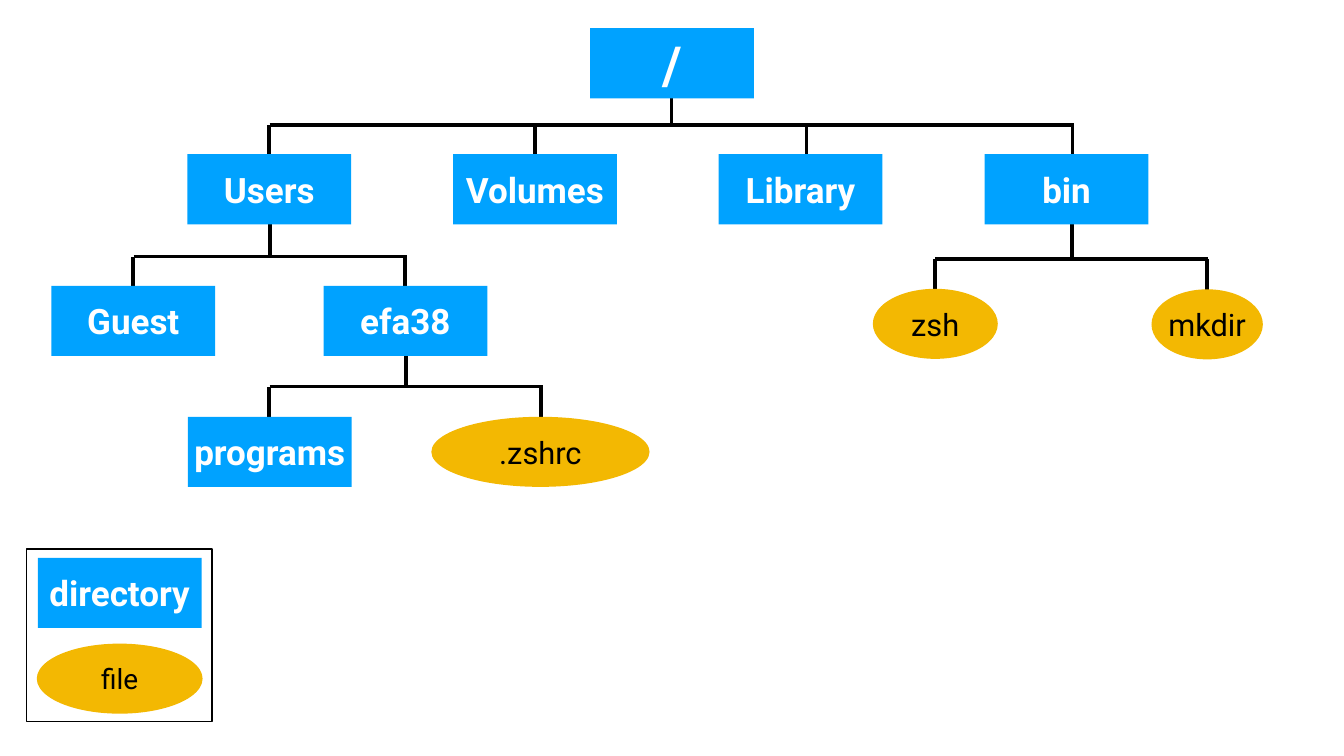
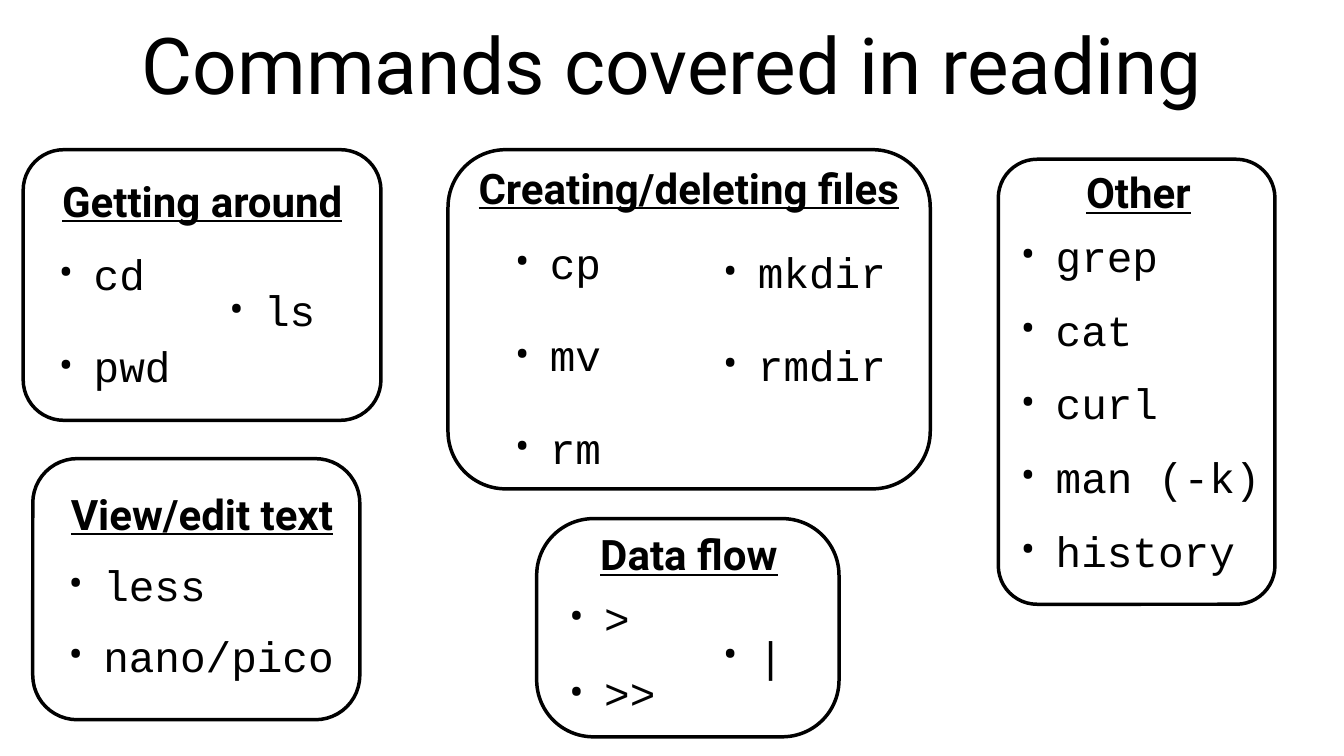
from lxml.etree import SubElement
from pptx import Presentation
from pptx.dml.color import RGBColor
from pptx.enum.shapes import MSO_CONNECTOR, MSO_SHAPE
from pptx.enum.text import MSO_ANCHOR, MSO_AUTO_SIZE, PP_ALIGN
from pptx.oxml.ns import qn
from pptx.util import Pt

PX = 9144
PAGE_SIZE = (2667, 1500)
COLORS = {"ink": "000000", "directory": "00A2FF", "file": "F3B802", "paper": "FFFFFF"}
SANS, MONO = "Roboto", "Courier New"
THICK, THIN = 5, 2

NODE_HEIGHT, DIRECTORY_WIDTH = 139, 325
BRANCH_LENGTH, TRUNK_GAP = 93, 4
BRANCHES = [
    (2127, 514, [1855, 2395]),
    (806, 767, [534, 1074]),
    (536, 509, [264, 804]),
    (1333, 248, [534, 1062, 1600, 2128]),
]
DIRECTORIES = [
    ("/", 1171, 56, 75),
    ("Users", 372, 306, 50),
    ("Volumes", 899, 306, 50),
    ("Library", 1426, 306, 50),
    ("bin", 1954, 306, 50),
    ("Guest", 102, 567, 50),
    ("efa38", 642, 567, 50),
    ("programs", 373, 827, 50),
]
FILES = [
    (".zshrc", 856, 827, 433, 44),
    ("zsh", 1732, 573, 248, 44),
    ("mkdir", 2285, 574, 221, 44),
]
LEGEND_FRAME = (53, 1089, 368, 343)
LEGEND_DIRECTORY = ("directory", 75, 1107, 50)
LEGEND_FILE = ("file", 73, 1277, 329, 40)

TITLE = ("Commands covered in reading", (185, 1, 2297, 250))
INSET, INDENT, HEADING_HEIGHT = 6, 69, 111
TOPICS = [
    {
        "heading": "Getting around", "heading_at": (98, 342, 607),
        "frame": (46, 297, 710, 537), "corner": 0.15,
        "lists": [(["cd", "pwd"], (111, 460, 395, 347), 59),
                  (["ls"], (449, 529, 203, 171), 0)],
    },
    {
        "heading": "Creating/deleting files", "heading_at": (922, 316, 890),
        "frame": (889, 297, 957, 673), "corner": 0.17,
        "lists": [(["cp", "mv", "rm"], (1016, 457, 395, 494), 59),
                  (["mkdir", "rmdir"], (1429, 434, 395, 393), 59)],
    },
    {
        "heading": "Other", "heading_at": (2141, 325, 236),
        "frame": (1981, 316, 549, 883), "corner": 0.14,
        "lists": [(["grep", "cat", "curl", "man (-k)", "history"],
                   (2020, 433, 556, 732), 32)],
    },
    {
        "heading": "View/edit text", "heading_at": (123, 963, 556),
        "frame": (65, 910, 649, 518), "corner": 0.17, "main": True,
        "lists": [(["less", "nano/pico"], (130, 1040, 556, 379), 28)],
    },
    {
        "heading": "Data flow", "heading_at": (1171, 1043, 392),
        "frame": (1065, 1029, 600, 433), "corner": 0.26,
        "lists": [([">", ">>"], (1124, 1148, 395, 303), 35),
                  (["|"], (1429, 1209, 192, 181), 0)],
    },
]


def emu(*lengths):
    return [length * PX for length in lengths]


def color(name):
    return RGBColor.from_string(COLORS[name])


def set_font(para, size, face=SANS, ink="ink", bold=False, underline=False):
    font = para.font
    font.name, font.size = face, Pt(size)
    font.bold, font.underline = bold, underline
    font.color.rgb = color(ink)


def prepare_frame(frame, inset, wrap=True, auto_size=MSO_AUTO_SIZE.NONE):
    frame.auto_size = auto_size
    frame.word_wrap = wrap
    frame.vertical_anchor = MSO_ANCHOR.MIDDLE
    frame.margin_left = frame.margin_right = inset * PX
    frame.margin_top = frame.margin_bottom = inset * PX


def write_centered(frame, text, size, **style):
    para = frame.paragraphs[0]
    para.text = text
    para.alignment = PP_ALIGN.CENTER
    set_font(para, size, **style)


def place(shape, area):
    shape.left, shape.top, shape.width, shape.height = emu(*area)


def add_line(shapes, start, end):
    line = shapes.add_connector(MSO_CONNECTOR.STRAIGHT, *emu(*start, *end))
    line.line.color.rgb = color("ink")
    line.line.width = Pt(THICK)
    SubElement(line._element.spPr, qn("a:effectLst"))


def add_outline(shapes, kind, area, width):
    box = shapes.add_shape(kind, *emu(*area))
    box.shadow.inherit = False
    box.fill.background()
    box.line.color.rgb = color("ink")
    box.line.width = Pt(width)
    return box


def add_node(shapes, kind, text, area, fill, size, **style):
    node = shapes.add_shape(kind, *emu(*area))
    node.shadow.inherit = False
    node.fill.solid()
    node.fill.fore_color.rgb = color(fill)
    node.line.fill.background()
    prepare_frame(node.text_frame, 0, wrap=False)
    write_centered(node.text_frame, text, size, **style)


def add_directory(shapes, text, left, top, size):
    area = (left, top, DIRECTORY_WIDTH, NODE_HEIGHT)
    add_node(shapes, MSO_SHAPE.RECTANGLE, text, area, "directory", size,
             ink="paper", bold=True)


def add_file(shapes, text, left, top, width, size):
    area = (left, top, width, NODE_HEIGHT)
    add_node(shapes, MSO_SHAPE.OVAL, text, area, "file", size)


def add_branch(shapes, trunk, rail, drops):
    for drop in drops:
        add_line(shapes, (drop, rail + BRANCH_LENGTH), (drop, rail))
    trunk_end = rail - TRUNK_GAP
    add_line(shapes, (trunk, trunk_end), (trunk, trunk_end - BRANCH_LENGTH))
    add_line(shapes, (drops[0] + 1, rail), (drops[-1] + 3, rail))


def build_tree(deck):
    page = deck.slides.add_slide(deck.slide_layouts[6])
    tree = page.shapes.add_group_shape().shapes
    for branch in BRANCHES:
        add_branch(tree, *branch)
    for directory in DIRECTORIES:
        add_directory(tree, *directory)
    for file in FILES:
        add_file(tree, *file)
    add_directory(page.shapes, *LEGEND_DIRECTORY)
    add_file(page.shapes, *LEGEND_FILE)
    add_outline(page.shapes, MSO_SHAPE.RECTANGLE, LEGEND_FRAME, THIN)


def add_bullet(para):
    properties = para._p.get_or_add_pPr()
    properties.set("marL", str(INDENT * PX))
    properties.set("indent", str(-INDENT * PX))
    bullet_color = SubElement(properties, qn("a:buClr"))
    SubElement(bullet_color, qn("a:srgbClr"), val=COLORS["ink"])
    SubElement(properties, qn("a:buFont"), typeface=SANS)
    SubElement(properties, qn("a:buChar"), char="•")


def write_list(box, commands, gap):
    frame = box.text_frame
    prepare_frame(frame, INSET)
    for index, command in enumerate(commands):
        para = frame.add_paragraph() if index else frame.paragraphs[0]
        para.text = command
        add_bullet(para)
        para.space_before = Pt(gap if index else 0)
        set_font(para, 61, MONO)


def add_heading(page, text, left, top, width):
    box = page.shapes.add_textbox(*emu(left, top, width, HEADING_HEIGHT))
    prepare_frame(box.text_frame, INSET, auto_size=MSO_AUTO_SIZE.SHAPE_TO_FIT_TEXT)
    write_centered(box.text_frame, text, 60, bold=True, underline=True)


def build_commands(deck):
    page = deck.slides.add_slide(deck.slide_layouts[1])
    text, area = TITLE
    title = page.shapes.title
    place(title, area)
    prepare_frame(title.text_frame, INSET)
    write_centered(title.text_frame, text, 112)
    for topic in TOPICS:
        frame = add_outline(page.shapes, MSO_SHAPE.ROUNDED_RECTANGLE, topic["frame"], THICK)
        frame.adjustments[0] = topic["corner"]
        add_heading(page, topic["heading"], *topic["heading_at"])
        for commands, area, gap in topic["lists"]:
            if topic.get("main"):
                box = page.placeholders[1]
                place(box, area)
            else:
                box = page.shapes.add_textbox(*emu(*area))
            write_list(box, commands, gap)


def main():
    deck = Presentation()
    deck.slide_width, deck.slide_height = emu(*PAGE_SIZE)
    build_tree(deck)
    build_commands(deck)
    deck.save("out.pptx")


if __name__ == "__main__":
    main()
